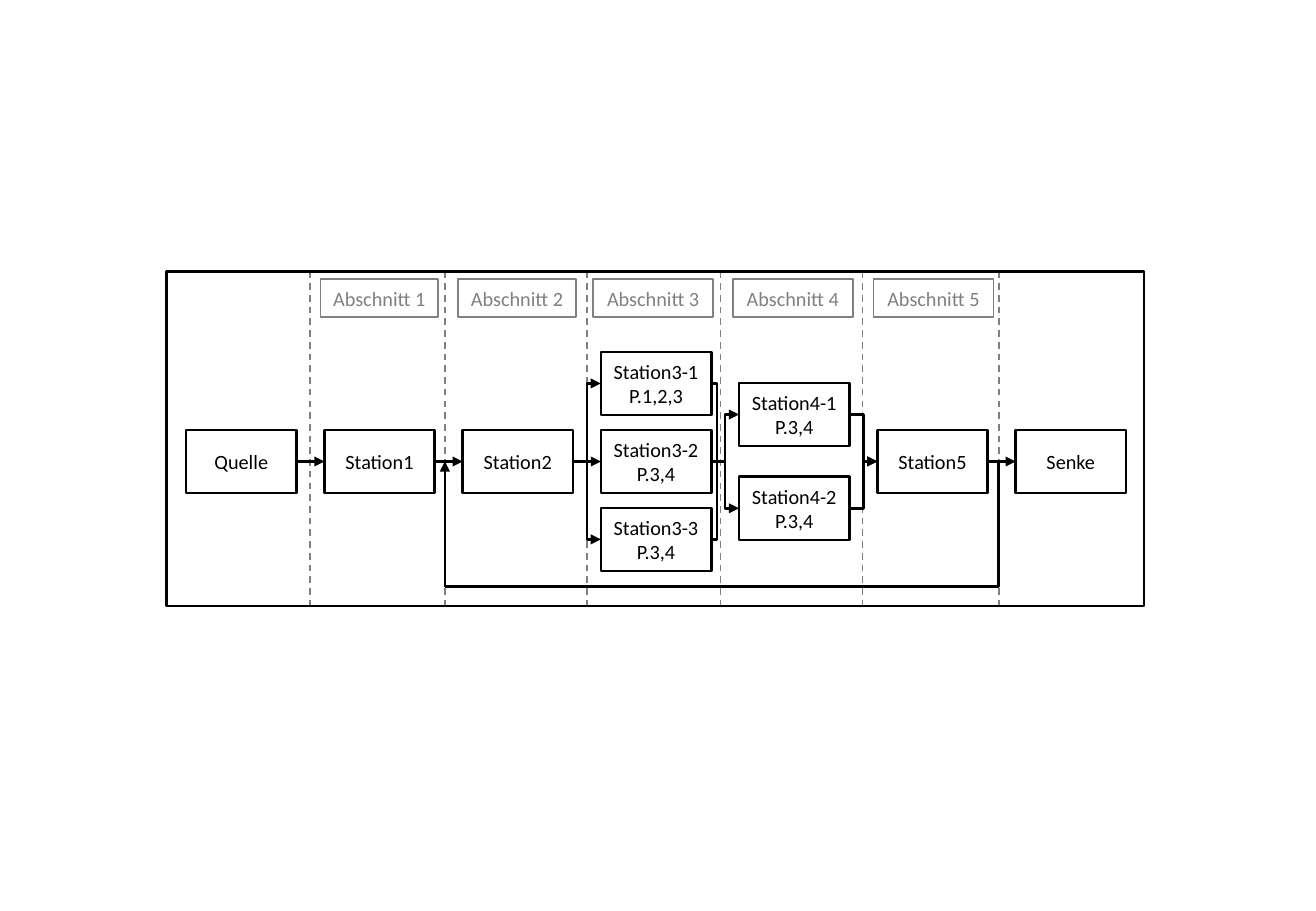
from itertools import pairwise

from lxml.etree import SubElement
from pptx import Presentation
from pptx.dml.color import RGBColor
from pptx.enum.dml import MSO_LINE_DASH_STYLE as Dash
from pptx.enum.shapes import MSO_CONNECTOR as Link, MSO_SHAPE as Preset
from pptx.enum.text import MSO_ANCHOR as Anchor, PP_ALIGN as Align
from pptx.oxml.ns import qn
from pptx.util import Cm, Pt

STAGES = [
    [("Quelle",)],
    [("Station1",)],
    [("Station2",)],
    [("Station3-1", "P.1,2,3"), ("Station3-2", "P.3,4"), ("Station3-3", "P.3,4")],
    [("Station4-1", "P.3,4"), ("Station4-2", "P.3,4")],
    [("Station5",)],
    [("Senke",)],
]
SECTIONS = [
    ("Abschnitt 1", 6.7, 2.46),
    ("Abschnitt 2", 9.58, 2.46),
    ("Abschnitt 3", 12.4, 2.51),
    ("Abschnitt 4", 15.32, 2.51),
    ("Abschnitt 5", 18.26, 2.51),
]
BORDERS = [6.48, 9.3, 12.27, 15.06, 18.03, 20.88]
MERGING = ["Station3-1", "Station3-3"]

THEME = {
    "font": "Calibri",
    "size": Pt(12),
    "ink": RGBColor(0, 0, 0),
    "muted": RGBColor(0x80, 0x80, 0x80),
    "paper": RGBColor(255, 255, 255),
    "strong": Pt(1.5),
    "thin": Pt(1),
}
TEXT_FRAME = {
    "word_wrap": True, "vertical_anchor": Anchor.MIDDLE,
    "margin_left": 0, "margin_right": 0, "margin_top": 0, "margin_bottom": 0,
}

FRAME_LEFT, FRAME_TOP, FRAME_WIDTH, FRAME_HEIGHT = 3.48, 5.68, 20.44, 6.99
STATION_LEFT, STATION_PITCH = 3.89, 2.89
STATION_WIDTH, STATION_HEIGHT = 2.31, 1.32
ROW_PITCH = {1: 0, 2: 1.96, 3: 1.63}
AXIS, RETURN_LEVEL, MERGE_X = 9.65, 12.27, 14.99
SECTION_TOP, SECTION_HEIGHT = 5.84, 0.79

deck = Presentation()
deck.slide_width, deck.slide_height = Cm(27.51), Cm(19.05)
slide = deck.slides.add_slide(deck.slide_layouts[6])


def assign(target, values):
    for name, value in values.items():
        setattr(target, name, value)


def add_box(left, top, width, height, lines=(), color="ink", weight="strong"):
    box = slide.shapes.add_shape(Preset.RECTANGLE, *map(Cm, (left, top, width, height)))
    box.shadow.inherit = False
    box.line.color.rgb = THEME[color]
    box.line.width = THEME[weight]
    if not lines:
        box.fill.background()
        return box
    box.fill.solid()
    box.fill.fore_color.rgb = THEME["paper"]
    assign(box.text_frame, TEXT_FRAME)
    box.text_frame.text = "\n".join(lines)
    for paragraph in box.text_frame.paragraphs:
        paragraph.alignment = Align.CENTER
        assign(paragraph.font, {"name": THEME["font"], "size": THEME["size"]})
        paragraph.font.color.rgb = THEME[color]
    return box


def add_line(start, end, kind=Link.STRAIGHT, color="ink", weight="strong", arrow=False):
    line = slide.shapes.add_connector(kind, *map(Cm, (*start, *end)))
    line.line.color.rgb = THEME[color]
    line.line.width = THEME[weight]
    if arrow:
        SubElement(line.line._get_or_add_ln(), qn("a:tailEnd"), type="triangle")
    SubElement(line._element.spPr, qn("a:effectLst"))
    return line


def geometry(line):
    return line._element.spPr.find(qn("a:prstGeom"))


for x in BORDERS:
    border = add_line((x, FRAME_TOP), (x, FRAME_TOP + FRAME_HEIGHT), color="muted", weight="thin")
    border.line.dash_style = Dash.DASH

stations, ports = {}, {}
for column, stage in enumerate(STAGES):
    left = STATION_LEFT + column * STATION_PITCH
    for row, lines in enumerate(stage):
        middle = AXIS + (row - (len(stage) - 1) / 2) * ROW_PITCH[len(stage)]
        name = lines[0]
        stations[name] = add_box(left, middle - STATION_HEIGHT / 2, STATION_WIDTH, STATION_HEIGHT, lines)
        ports[name] = (left, middle), (left + STATION_WIDTH, middle)

for before, after in pairwise(STAGES):
    for source, *_ in before:
        if source in MERGING:
            continue
        for target, *_ in after:
            start, end = ports[source][1], ports[target][0]
            kind = Link.STRAIGHT if start[1] == end[1] else Link.ELBOW
            flow = add_line(start, end, kind, arrow=True)
            flow.begin_connect(stations[source], 3)
            flow.end_connect(stations[target], 1)

for source in MERGING:
    merge = add_line(ports[source][1], (MERGE_X, AXIS), Link.ELBOW)
    geometry(merge).set("prst", "bentConnector2")

return_start = ports["Station5"][1]
return_x, exit_x = BORDERS[1], BORDERS[-1]
return_loop = add_line(return_start, (return_x, RETURN_LEVEL), Link.ELBOW)
bend = (return_start[0] - exit_x) / (return_start[0] - return_x)
guides = geometry(return_loop).find(qn("a:avLst"))
SubElement(guides, qn("a:gd"), name="adj1", fmla=f"val {round(bend * 100000)}")
add_line((return_x, RETURN_LEVEL), (return_x, AXIS), arrow=True)

add_box(FRAME_LEFT, FRAME_TOP, FRAME_WIDTH, FRAME_HEIGHT)
for title, left, width in SECTIONS:
    add_box(left, SECTION_TOP, width, SECTION_HEIGHT, (title,), "muted", "thin")

deck.save("out.pptx")
